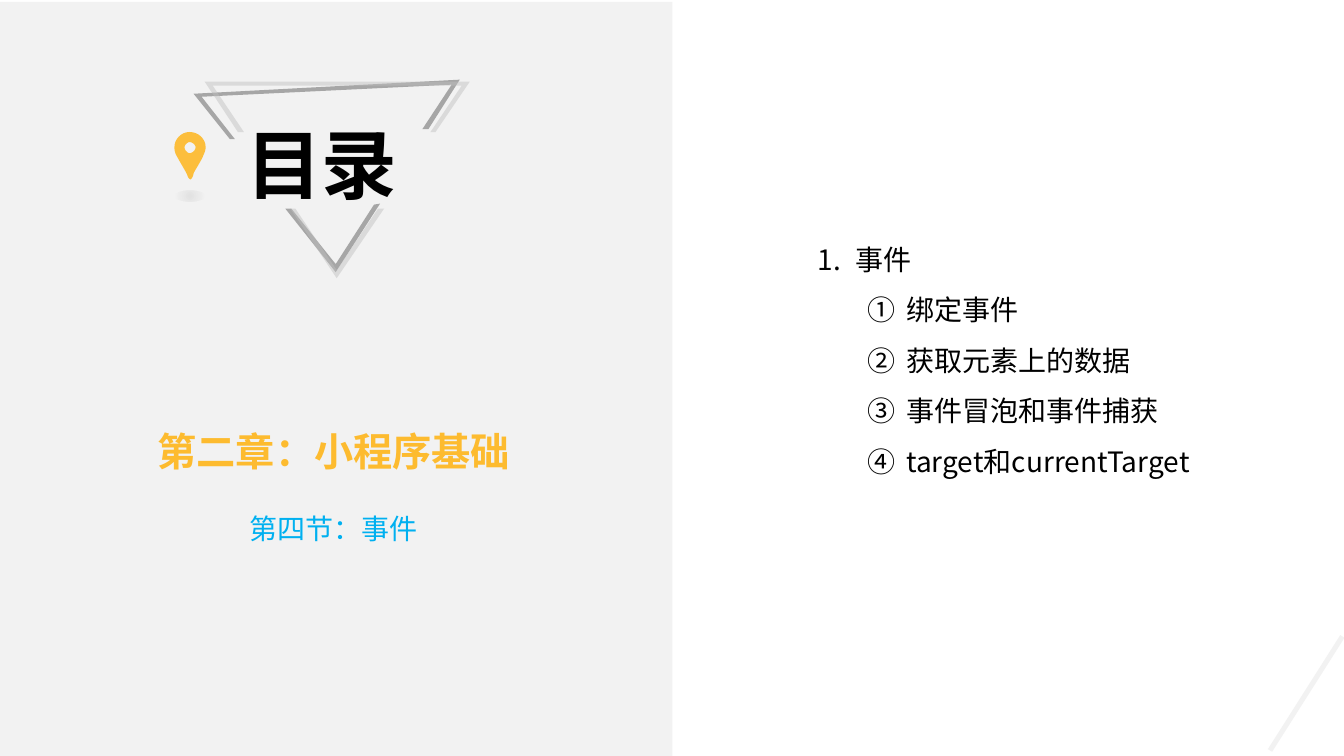
from lxml.etree import SubElement
from pptx import Presentation
from pptx.dml.color import RGBColor
from pptx.enum.shapes import MSO_SHAPE as SHAPE
from pptx.enum.text import MSO_ANCHOR, MSO_AUTO_SIZE as AUTO, PP_ALIGN as ALIGN
from pptx.oxml.ns import qn
from pptx.util import Inches, Pt

FONT = "Noto Sans CJK SC"
PANEL = RGBColor(0xF2, 0xF2, 0xF2)
AMBER = RGBColor(0xFD, 0xBB, 0x2F)
BLUE = RGBColor(0x00, 0xB0, 0xF0)
BLACK = RGBColor(0x00, 0x00, 0x00)
DARK_GREY = RGBColor(0xA6, 0xA6, 0xA6)
LIGHT_GREY = RGBColor(0xBF, 0xBF, 0xBF)
SHADE = RGBColor(0xE2, 0xE2, 0xE2)

DARK_TRIANGLE = [
    [(2.83, 2.07), (2.89, 2.07), (3.33, 2.62), (3.71, 2.03), (3.77, 2.02),
     (3.33, 2.7)],
    [(1.92, 0.93), (4.56, 0.79), (4.25, 1.28), (4.19, 1.28), (4.48, 0.84),
     (2, 0.96), (2.33, 1.38), (2.28, 1.38)],
]
LIGHT_TRIANGLE = [
    [(2.88, 2.07), (2.93, 2.07), (3.34, 2.68), (3.75, 2.07), (3.81, 2.07),
     (3.34, 2.76)],
    [(2.03, 0.81), (4.66, 0.81), (4.32, 1.31), (4.27, 1.31), (4.58, 0.85),
     (2.11, 0.85), (2.42, 1.31), (2.36, 1.31)],
]
# Each curve runs on from the last point: two control points, then an end.
PIN_EDGE = [
    (2.04, 1.46), (2.04, 1.38), (1.97, 1.31), (1.88, 1.31),
    (1.8, 1.31), (1.73, 1.38), (1.73, 1.46),
    (1.73, 1.5), (1.74, 1.53), (1.76, 1.56),
    (1.78, 1.6), (1.83, 1.68), (1.85, 1.72),
    (1.86, 1.74), (1.87, 1.78), (1.89, 1.78),
    (1.9, 1.78), (1.92, 1.74), (1.92, 1.72),
    (1.94, 1.68), (1.98, 1.62), (2.01, 1.56),
    (2.02, 1.53), (2.04, 1.5), (2.04, 1.46),
]
PIN_HOLE = [
    (1.88, 1.41), (1.91, 1.41), (1.94, 1.44), (1.94, 1.46),
    (1.94, 1.49), (1.91, 1.52), (1.88, 1.52),
    (1.86, 1.52), (1.83, 1.49), (1.83, 1.46),
    (1.83, 1.44), (1.86, 1.41), (1.88, 1.41),
]
TOPICS = ["绑定事件", "获取元素上的数据", "事件冒泡和事件捕获", "target和currentTarget"]


def paint(sp, color, opacity=100):
    """Give a shape a plain fill without line or shadow."""
    sp.shadow.inherit = False
    sp.line.fill.background()
    sp.fill.solid()
    sp.fill.fore_color.rgb = color
    if opacity < 100:
        clr = next(sp.element.spPr.iter(qn("a:srgbClr")))
        SubElement(clr, qn("a:alpha"), val=str(opacity * 1000))


def add_block(s, kind, box, color, rotation=0):
    """Add a filled preset shape."""
    sp = s.shapes.add_shape(kind, *map(Inches, box))
    sp.rotation = rotation
    paint(sp, color)
    return sp


def add_outline(s, contours, color, opacity=100):
    """Add one freeform made of closed contours, given in inches."""
    first, *others = [[(Inches(x), Inches(y)) for x, y in points]
                      for points in contours]
    fb = s.shapes.build_freeform(*first[0])
    fb.add_line_segments(first[1:])
    for points in others:
        fb.move_to(*points[0])
        fb.add_line_segments(points[1:])
    paint(fb.convert_to_shape(), color, opacity)


def trace(points, steps=8):
    """Turn a chain of cubic curves into short segments."""
    line = [points[0]]
    for i in range(0, len(points) - 1, 3):
        for t in (n / steps for n in range(1, steps + 1)):
            weights = ((1 - t) ** 3, 3 * t * (1 - t) ** 2,
                       3 * t * t * (1 - t), t ** 3)
            line.append(tuple(sum(w * v for w, v in zip(weights, axis))
                              for axis in zip(*points[i:i + 4])))
    return line


def add_pin_shadow(s, box):
    """Add an ellipse that fades into the panel."""
    sp = add_block(s, SHAPE.OVAL, box, SHADE)
    sp.fill.gradient()
    for stop, color in zip(sp.fill.gradient_stops, (SHADE, PANEL)):
        stop.color.rgb = color
    grad = sp.element.spPr.find(qn("a:gradFill"))
    grad.remove(grad.find(qn("a:lin")))
    route = SubElement(grad, qn("a:path"), path="circle")
    SubElement(route, qn("a:fillToRect"), l="50000", t="50000",
               r="50000", b="50000")


def write(p, text, **fmt):
    """Put a formatted run into a paragraph."""
    r = p.add_run()
    r.text = text
    color = fmt.pop("color", BLACK)
    for name, value in {"name": FONT, "size": Pt(20), **fmt}.items():
        setattr(r.font, name, value)
    r.font.color.rgb = color
    SubElement(r.font._element, qn("a:ea"), typeface=FONT)


def frame(sp, wrap=True):
    """Set up a text frame that grows with its text."""
    tf = sp.text_frame
    fmt = {"word_wrap": wrap, "auto_size": AUTO.SHAPE_TO_FIT_TEXT,
           "vertical_anchor": MSO_ANCHOR.TOP}
    for name, value in fmt.items():
        setattr(tf, name, value)
    return tf


def add_text(s, box):
    """Add a wrapping text box and return its frame."""
    return frame(s.shapes.add_textbox(*map(Inches, box)))


def set_title(s, text, box):
    """Place and fill the title."""
    sp = s.shapes.title
    for name, value in zip(("left", "top", "width", "height"), box):
        setattr(sp, name, Inches(value))
    p = frame(sp, wrap=False).paragraphs[0]
    p.alignment = ALIGN.LEFT
    write(p, text, size=Pt(54), bold=True)


def add_heading(s, text, box, **fmt):
    """Add a centred line of text."""
    p = add_text(s, box).paragraphs[0]
    p.alignment = ALIGN.CENTER
    write(p, text, **fmt)


def number(p, level, scheme):
    """Make a paragraph a numbered item."""
    p.level, p.line_spacing = level, 1.5
    pPr = p._p.get_or_add_pPr()
    pPr.set("marL", str(Inches(0.38 + 0.5 * level)))
    pPr.set("indent", str(Inches(-0.38)))
    SubElement(pPr, qn("a:buFont"), typeface=FONT)
    SubElement(pPr, qn("a:buAutoNum"), type=scheme)


def add_contents(s, heading, topics, box):
    """Add the numbered heading with its topics."""
    tf = add_text(s, box)
    p = tf.paragraphs[0]
    number(p, 0, "arabicPeriod")
    write(p, heading)
    for topic in topics:
        p = tf.add_paragraph()
        number(p, 1, "circleNumDbPlain")
        write(p, topic)


def main():
    """Build the contents slide."""
    prs = Presentation()
    prs.slide_width, prs.slide_height = Inches(13.33), Inches(7.5)
    s = prs.slides.add_slide(prs.slide_layouts[5])
    panel = add_block(s, SHAPE.RECTANGLE, (0, 0.02, 6.67, 7.5), PANEL)
    s.shapes.title.element.addprevious(panel.element)
    set_title(s, "目录", (2.34, 1.12, 1.72, 1.01))
    add_heading(s, "第二章：小程序基础", (0.9, 4.19, 4.82, 0.57),
                size=Pt(28), bold=True, color=AMBER)
    add_outline(s, [trace(PIN_EDGE), trace(PIN_HOLE)], AMBER, 93)
    add_pin_shadow(s, (1.73, 1.89, 0.31, 0.11))
    add_outline(s, DARK_TRIANGLE, DARK_GREY)
    add_outline(s, LIGHT_TRIANGLE, LIGHT_GREY, 47)
    add_block(s, SHAPE.RECTANGLE, (12.93, 6.21, 0.05, 1.34), PANEL, 32.4)
    add_heading(s, "第四节：事件", (0.9, 5.03, 4.82, 0.44), color=BLUE)
    add_contents(s, "事件", TOPICS, (8.01, 2.19, 4.35, 2.62))
    prs.save("out.pptx")


main()
